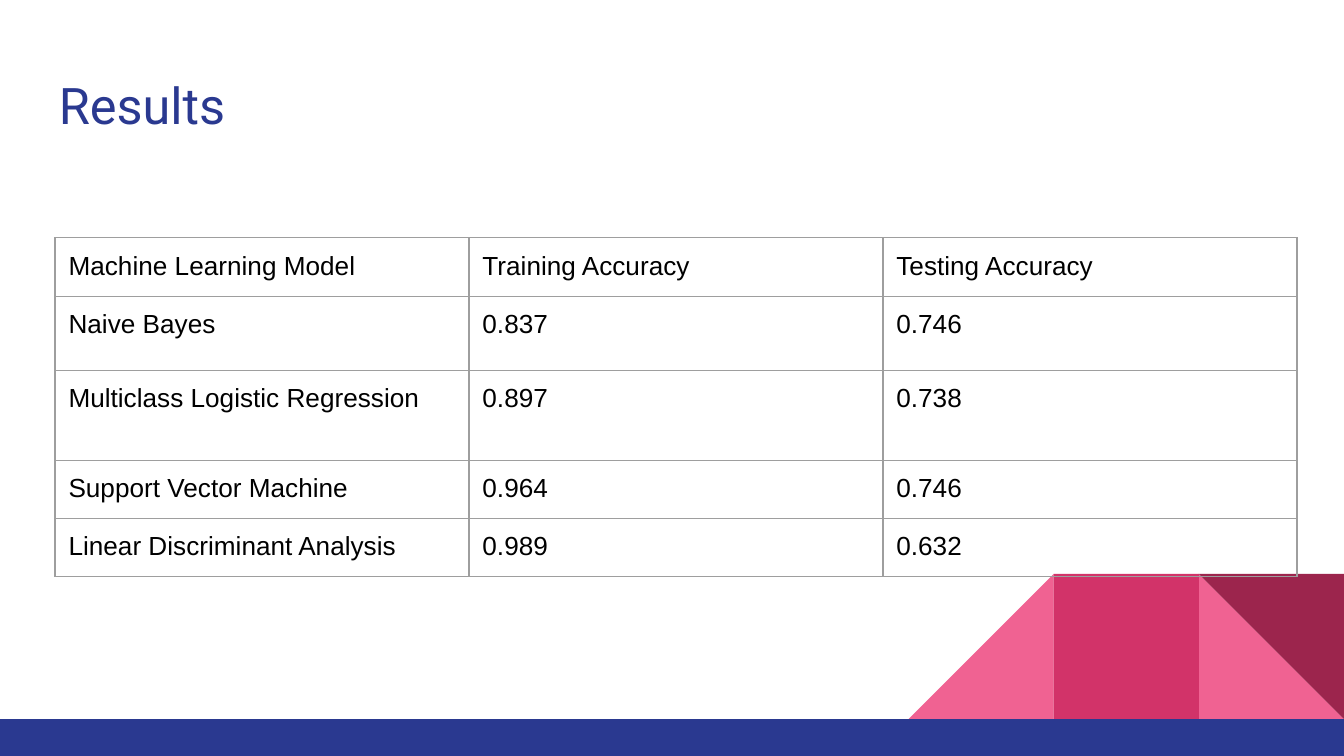
from lxml.etree import SubElement
from pptx import Presentation
from pptx.dml.color import RGBColor
from pptx.enum.shapes import MSO_SHAPE
from pptx.enum.text import MSO_ANCHOR
from pptx.oxml.ns import qn
from pptx.util import Inches, Pt

TITLE = "Results"
ROWS = [
    ("Machine Learning Model", "Training Accuracy", "Testing Accuracy"),
    ("Naive Bayes", "0.837", "0.746"),
    ("Multiclass Logistic Regression", "0.897", "0.738"),
    ("Support Vector Machine", "0.964", "0.746"),
    ("Linear Discriminant Analysis", "0.989", "0.632"),
]
HEIGHTS = [0.43, 0.55, 0.67, 0.43, 0.42]
COL = 3.08
WIDE = 10
HIGH = WIDE * 9 / 16
TILE, FLOOR = 1.08, 5.35
NAVY, PINK, ROSE, WINE, GREY = "2A3990", "F06292", "D23369", "9C254D", "9E9E9E"

# Tiles along the floor: kind, places from the right edge, turn, colour
TILES = [
    (MSO_SHAPE.RIGHT_TRIANGLE, 1, 0, PINK),
    (MSO_SHAPE.RIGHT_TRIANGLE, 3, 270, PINK),
    (MSO_SHAPE.RECTANGLE, 2, 0, ROSE),
    (MSO_SHAPE.RIGHT_TRIANGLE, 1, 180, WINE),
]


def paint(fill, color):
    fill.solid()
    fill.fore_color.rgb = RGBColor.from_string(color)


def add_block(slide, kind, box, color, turn=0):
    shape = slide.shapes.add_shape(kind, *map(Inches, box))
    shape.shadow.inherit = False
    paint(shape.fill, color)
    shape.line.fill.background()
    shape.rotation = turn


def style(frame, font, size, color):
    run = frame.paragraphs[0].runs[0]
    run.font.name = font
    run.font.size = Pt(size)
    run.font.color.rgb = RGBColor.from_string(color)


def pad(item):
    """Set equal inner margins on a text frame or a cell."""
    item.margin_left = item.margin_right = Inches(0.1)
    item.margin_top = item.margin_bottom = Inches(0.1)


def add_border(cell, color, width):
    props = cell._tc.get_or_add_tcPr()
    for side in ("a:lnL", "a:lnR", "a:lnT", "a:lnB"):
        line = SubElement(props, qn(side), w=str(Pt(width)))
        fill = SubElement(line, qn("a:solidFill"))
        SubElement(fill, qn("a:srgbClr"), val=color)


def add_title(slide):
    box = slide.shapes.add_textbox(*map(Inches, (0.34, 0.45, 9.32, 0.66)))
    frame = box.text_frame
    frame.word_wrap = True
    frame.vertical_anchor = MSO_ANCHOR.MIDDLE
    pad(frame)
    frame.text = TITLE
    style(frame, "Roboto", 27, NAVY)


def add_scores(slide):
    count = len(ROWS[0])
    size = (0.41, 1.77, COL * count, sum(HEIGHTS))
    frame = slide.shapes.add_table(len(ROWS), count, *map(Inches, size))
    table = frame.table
    table.first_row = table.horz_banding = False
    for col in table.columns:
        col.width = Inches(COL)
    for r, (texts, height) in enumerate(zip(ROWS, HEIGHTS)):
        table.rows[r].height = Inches(height)
        for c, text in enumerate(texts):
            cell = table.cell(r, c)
            pad(cell)
            cell.text_frame.text = text
            style(cell.text_frame, "Arial", 14, "000000")
            add_border(cell, GREY, 0.75)
            cell.fill.background()


def main():
    deck = Presentation()
    deck.slide_width, deck.slide_height = Inches(WIDE), Inches(HIGH)
    slide = deck.slides.add_slide(deck.slide_layouts[6])
    paint(slide.background.fill, "FFFFFF")
    for kind, place, turn, color in TILES:
        box = (WIDE - place * TILE, FLOOR - TILE, TILE, TILE)
        add_block(slide, kind, box, color, turn)
    add_block(slide, MSO_SHAPE.RECTANGLE, (0, FLOOR, WIDE, HIGH - FLOOR), NAVY)
    add_title(slide)
    add_scores(slide)
    deck.save("out.pptx")


if __name__ == "__main__":
    main()
